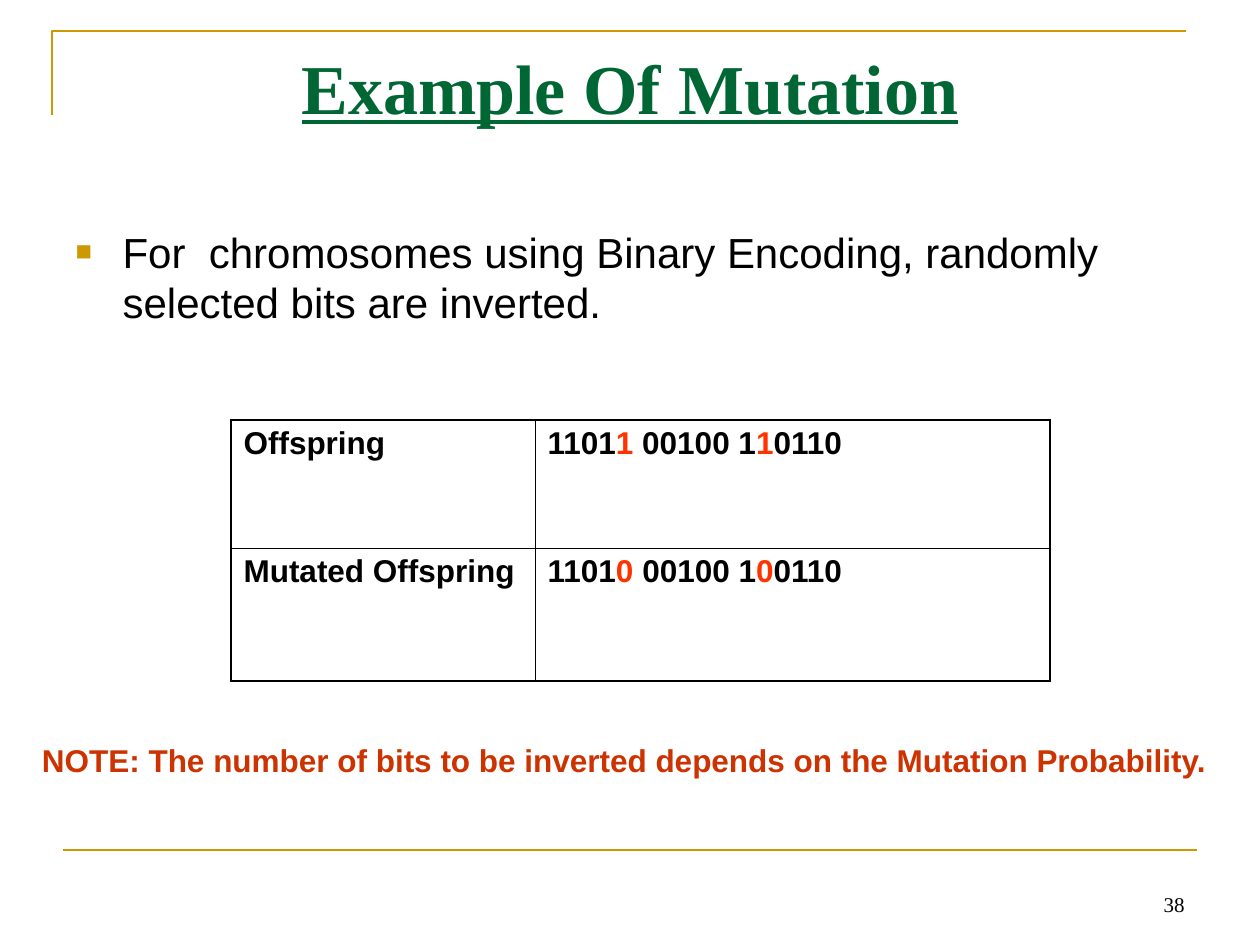
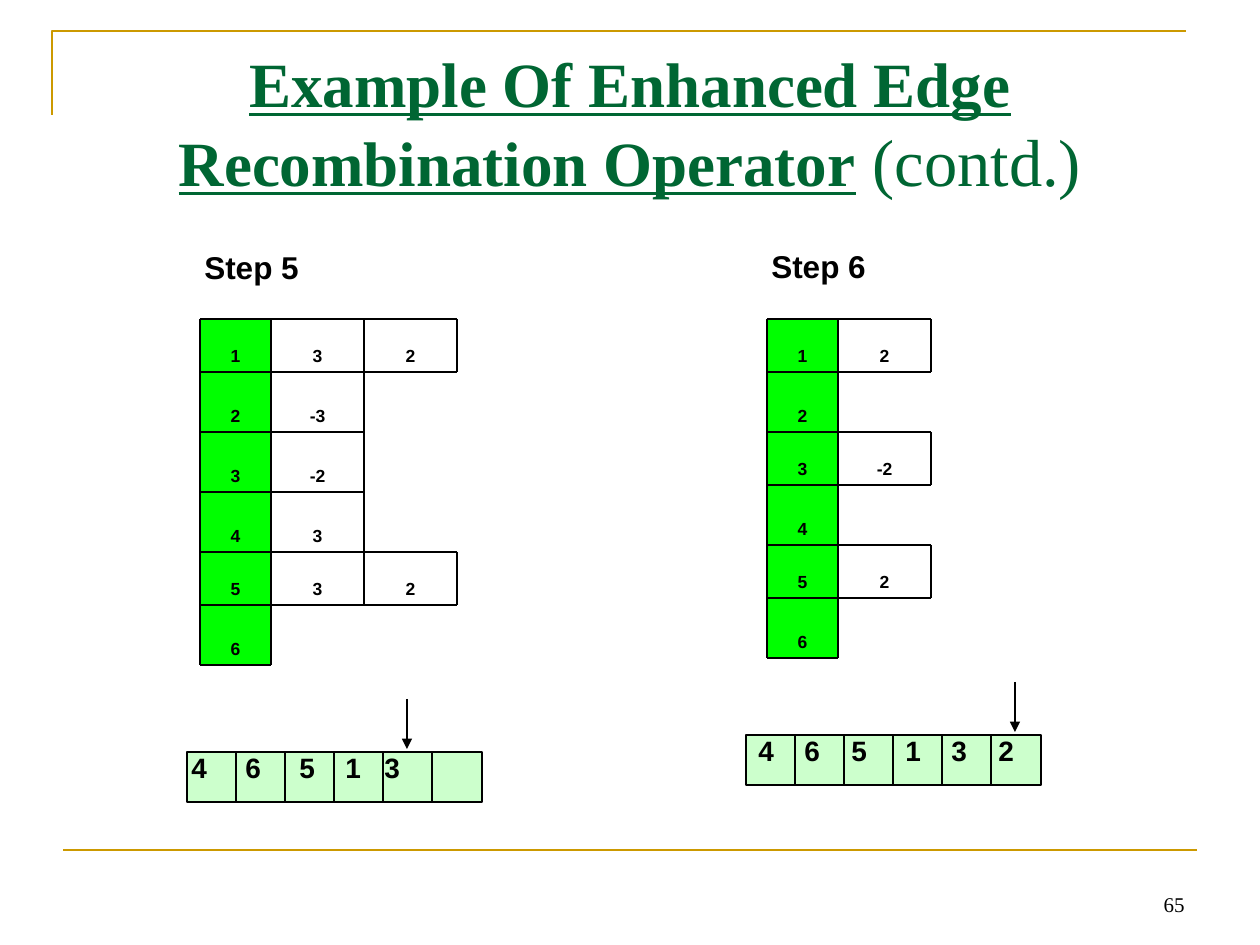
import itertools

import pptx
import pptx.dml.color
import pptx.enum.shapes
import pptx.enum.text
import pptx.oxml
import pptx.oxml.ns
import pptx.util

RGB = pptx.dml.color.RGBColor
ALIGN = pptx.enum.text.PP_ALIGN
ANCHOR = pptx.enum.text.MSO_ANCHOR
RECTANGLE = pptx.enum.shapes.MSO_SHAPE.RECTANGLE
STRAIGHT = pptx.enum.shapes.MSO_CONNECTOR.STRAIGHT

SCALE = 914400 / 126  # EMU in one px
GOLD = RGB(0xCC, 0x99, 0x00)
TITLE_GREEN = RGB(0x00, 0x66, 0x33)
BLACK = RGB(0x00, 0x00, 0x00)
BIT_RED = RGB(0xFF, 0x33, 0x00)
NOTE_RED = RGB(0xCC, 0x33, 0x00)
NODE_GREEN = RGB(0x00, 0xFF, 0x00)
TOUR_GREEN = RGB(0xCC, 0xFF, 0xCC)
SANS, SERIF = "Arial", "Times New Roman"


def emu(px):
    return round(px * SCALE)


def element(xml):
    tag, rest = xml[1:].split(" ", 1)
    return pptx.oxml.parse_xml(f"<{tag} {pptx.oxml.ns.nsdecls('a')} {rest}")


def add_text(para, text, size=18, font=SANS, color=BLACK, bold=True, underline=False):
    span = para.add_run()
    span.text = text
    span.font.size = pptx.util.Pt(size)
    span.font.name = font
    span.font.color.rgb = color
    span.font.bold = bold
    span.font.underline = underline


def fill_label(label, text, align=ALIGN.CENTER, anchor=ANCHOR.TOP, **text_format):
    label.text_frame.word_wrap = True
    label.text_frame.vertical_anchor = anchor
    para = label.text_frame.paragraphs[0]
    para.alignment = align
    add_text(para, text, **text_format)
    return para


def add_label(page, box, text, **label_format):
    return fill_label(page.shapes.add_textbox(*map(emu, box)), text, **label_format)


def add_line(page, start, end, color=BLACK, width=1):
    line = page.shapes.add_connector(STRAIGHT, *map(emu, start + end))
    line.line.color.rgb = color
    line.line.width = pptx.util.Pt(width)
    line._element.spPr.append(element("<a:effectLst />"))
    return line


def add_square(page, box, fill):
    square = page.shapes.add_shape(RECTANGLE, *map(emu, box))
    square.shadow.inherit = False
    square.fill.solid()
    square.fill.fore_color.rgb = fill
    square.line.color.rgb = BLACK
    square.line.width = pptx.util.Pt(1)
    return square


def fit_placeholder(holder, box):
    """Move a placeholder and return its first paragraph."""
    holder.left, holder.top, holder.width, holder.height = map(emu, box)
    frame = holder.text_frame
    frame.auto_size = pptx.enum.text.MSO_AUTO_SIZE.NONE
    frame.word_wrap = True
    frame.vertical_anchor = ANCHOR.TOP
    para = frame.paragraphs[0]
    para.space_before = pptx.util.Pt(0)
    para.line_spacing = 1.0
    return para


def add_page(deck, layout, number, heading, size):
    """Start a page with its gold rules, number and underlined title."""
    page = deck.slides.add_slide(deck.slide_layouts[layout])

    # Gold corner and footer rule
    builder = page.shapes.build_freeform(52, 115, scale=SCALE)
    builder.add_line_segments([(52, 31), (1186, 31)], close=False)
    corner = builder.convert_to_shape()
    corner.shadow.inherit = False
    corner.fill.background()
    corner.line.color.rgb = GOLD
    corner.line.width = pptx.util.Pt(1.5)
    add_line(page, (63, 850), (1197, 850), GOLD, 1.5)

    # Page number
    add_label(page, (903, 860, 294, 63), number, align=ALIGN.RIGHT,
              anchor=ANCHOR.BOTTOM, size=12, font=SERIF, bold=False)

    # Title
    para = fit_placeholder(page.shapes.title, (63, 38, 1134, 158))
    para.alignment = ALIGN.CENTER
    add_text(para, heading, size=size, font=SERIF, color=TITLE_GREEN, underline=True)
    return page


def add_bullet(page, box, text):
    para = fit_placeholder(page.placeholders[1], box)
    properties = para._p.get_or_add_pPr()
    properties.set("marL", str(emu(47)))
    properties.set("indent", str(emu(-47)))
    for xml in (f'<a:buClr ><a:srgbClr val="{GOLD}"/></a:buClr>',
                '<a:buSzPct val="65000"/>',
                f'<a:buFont typeface="{SANS}"/>',
                '<a:buChar char="■"/>'):
        properties.append(element(xml))
    add_text(para, text, size=24, bold=False)


def add_bit_table(page, left, top, widths, heights, rows):
    """Two-column table; each row is a name and its (bits, colour) spans."""
    table = page.shapes.add_table(len(rows), len(widths), emu(left), emu(top),
                                  emu(sum(widths)), emu(sum(heights))).table
    table.first_row = table.horz_banding = False
    for column, width in zip(table.columns, widths):
        column.width = emu(width)
    for r, (name, bits) in enumerate(rows):
        table.rows[r].height = emu(heights[r])
        for c, spans in enumerate(([(name, BLACK)], bits)):
            cell = table.cell(r, c)
            for text, color in spans:
                add_text(cell.text_frame.paragraphs[0], text, color=color)
            # Thick outer and thin inner borders
            outer = {"L": c == 0, "R": c == len(widths) - 1,
                     "T": r == 0, "B": r == len(rows) - 1}
            for side, thick in outer.items():
                width = pptx.util.Pt(1.08 if thick else 0.45)
                cell._tc.get_or_add_tcPr().append(element(
                    f'<a:ln{side} w="{width}"><a:solidFill><a:srgbClr val="{BLACK}"/>'
                    f'</a:solidFill></a:ln{side}>'))
            cell.fill.background()


def add_edge_list(page, left, top, edges):
    """Green node column, each node's remaining edges, and the ruled grid."""
    counts = [1 + len(neighbours) for neighbours in edges]
    heights = [53 if count == max(counts) else 60 for count in counts]
    columns = [left, *(left + 71 + 93 * c for c in range(max(counts)))]
    levels = [top, *(top + drop for drop in itertools.accumulate(heights))]

    # Cells
    for row, neighbours in enumerate(edges):
        for c, text in enumerate([str(row + 1), *neighbours]):
            box = (columns[c], levels[row], columns[c + 1] - columns[c], heights[row])
            if c == 0:
                cell = add_square(page, box, NODE_GREEN)
                cell.line.fill.background()
            else:
                cell = page.shapes.add_textbox(*map(emu, box))
            fill_label(cell, text, anchor=ANCHOR.BOTTOM, size=10)

    # Horizontal rules reach as far as the longer of the rows they part
    for level, above, below in zip(levels, [0, *counts], [*counts, 0]):
        add_line(page, (left, level), (columns[max(above, below)], level))

    # Vertical rules run along each unbroken stretch of rows that reach them
    for c, x in enumerate(columns):
        for reached, rows in itertools.groupby(range(len(edges)), lambda r: counts[r] >= c):
            rows = list(rows)
            if reached:
                add_line(page, (x, levels[rows[0]]), (x, levels[rows[-1] + 1]))


def add_tour(page, left, top, text_left, digits, stops):
    """Six squares holding the tour so far, with an arrow at the newest digit."""
    pitch, side = 49, 50
    for i in range(6):
        add_square(page, (left + i * pitch, top, side, side), TOUR_GREEN)
    x = left + (len(digits) - 1) * pitch + 24
    arrow = add_line(page, (x, top - 53), (x, top - 3), width=0.75)
    arrow.line._get_or_add_ln().append(element('<a:tailEnd type="triangle"/>'))

    para = add_label(page, (text_left, top - 8, 315, 75), "\t".join(digits),
                     align=ALIGN.LEFT, size=16)
    tabs = "".join(f'<a:tab pos="{emu(stop)}" algn="l"/>' for stop in stops)
    para._p.get_or_add_pPr().append(element(f"<a:tabLst >{tabs}</a:tabLst>"))


def build_mutation(deck):
    page = add_page(deck, 1, "38", "Example Of Mutation", 40)
    add_bullet(page, (63, 220, 1134, 624),
               "For  chromosomes using Binary Encoding, randomly selected bits are inverted.")
    add_bit_table(page, 231, 420, (304, 515), (128, 133), [
        ("Offspring", [("1101", BLACK), ("1", BIT_RED), (" 00100 1", BLACK),
                       ("1", BIT_RED), ("0110", BLACK)]),
        ("Mutated Offspring", [("1101", BLACK), ("0 ", BIT_RED), ("00100 1", BLACK),
                               ("0", BIT_RED), ("0110", BLACK)]),
    ])
    add_label(page, (21, 735, 1207, 50),
              "NOTE: The number of bits to be inverted depends on the Mutation Probability.",
              color=NOTE_RED)


def build_recombination(deck):
    page = add_page(deck, 5, "65", "Example Of Enhanced Edge Recombination Operator", 36)
    add_text(page.shapes.title.text_frame.paragraphs[0], " (contd.)",
             size=38, font=SERIF, color=TITLE_GREEN, bold=False)

    # Step 5
    add_label(page, (136, 242, 231, 50), "Step 5")
    add_edge_list(page, 200, 319, [["3", "2"], ["-3"], ["-2"], ["3"], ["3", "2"], []])
    add_tour(page, 187, 752, 179, "46513", (54, 108, 154, 193))

    # Step 6
    add_label(page, (703, 241, 231, 50), "Step 6")
    add_edge_list(page, 767, 319, [["2"], [], ["-2"], [], ["2"], []])
    add_tour(page, 746, 735, 746, "465132", (46, 93, 147, 193, 240))


def main():
    deck = pptx.Presentation()
    deck.slide_width, deck.slide_height = emu(1260), emu(945)
    build_mutation(deck)
    build_recombination(deck)
    deck.save("out.pptx")


if __name__ == "__main__":
    main()
